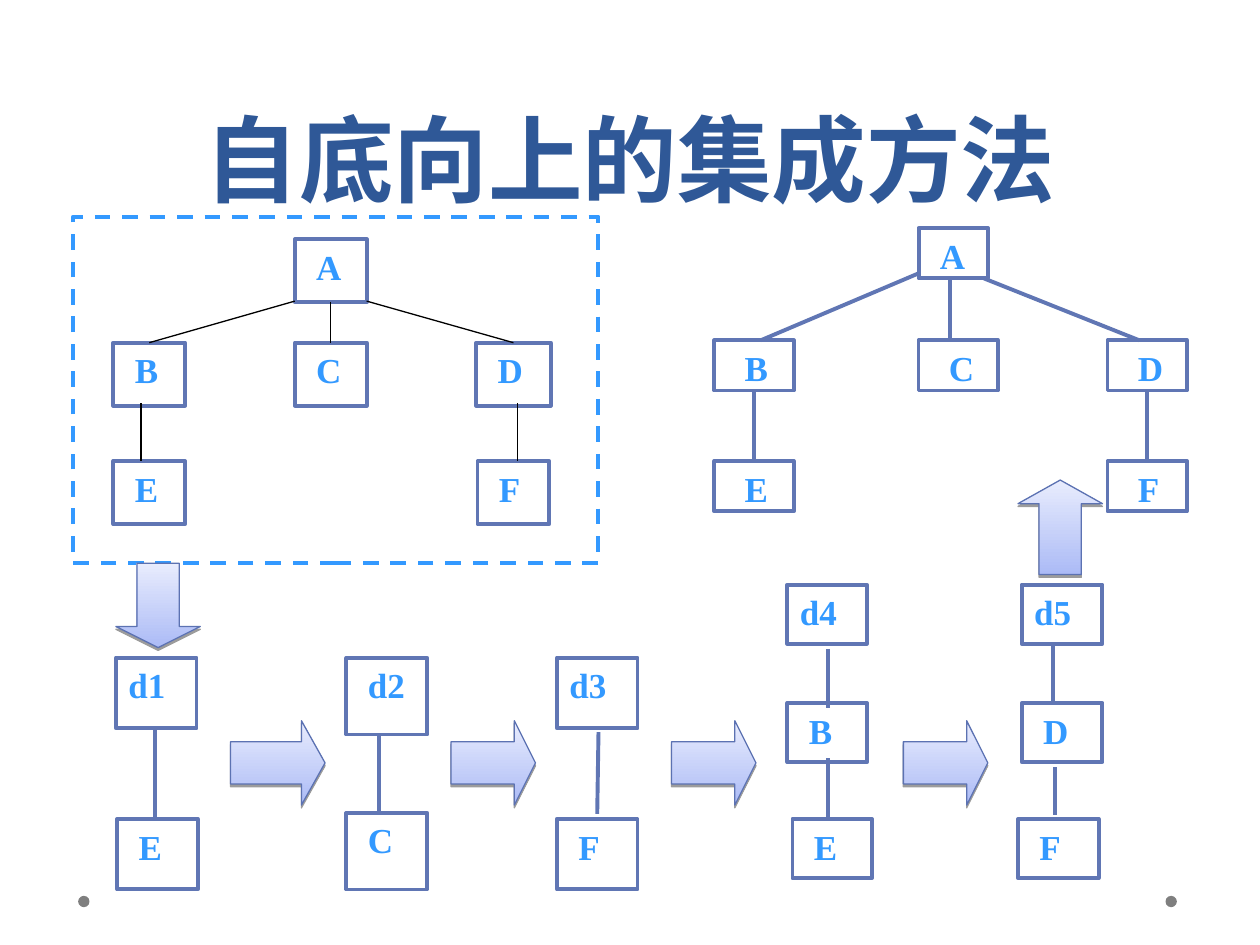
from dataclasses import dataclass

from lxml.etree import SubElement
from pptx import Presentation
from pptx.dml.color import RGBColor
from pptx.enum.dml import MSO_LINE_DASH_STYLE as Dash
from pptx.enum.shapes import MSO_CONNECTOR as Connector, MSO_SHAPE as Shape
from pptx.enum.text import MSO_ANCHOR as Anchor, PP_ALIGN as Align
from pptx.oxml.ns import qn
from pptx.shapes.shapetree import GroupShapes, SlideShapes
from pptx.util import Inches, Pt

TOP, BOTTOM = 0, 2  # connection sites of a rectangle


@dataclass(frozen=True)
class Theme:
    title: RGBColor = RGBColor(0x2F, 0x58, 0x97)
    label: RGBColor = RGBColor(0x33, 0x99, 0xFF)
    outline: RGBColor = RGBColor(0x60, 0x76, 0xB4)
    paper: RGBColor = RGBColor(0xFF, 0xFF, 0xFF)
    ink: RGBColor = RGBColor(0, 0, 0)
    dot: RGBColor = RGBColor(0x7F, 0x7F, 0x7F)
    arrow_dark: RGBColor = RGBColor(0xAC, 0xBB, 0xF6)
    arrow_light: RGBColor = RGBColor(0xE8, 0xEC, 0xFD)
    arrow_line: RGBColor = RGBColor(0x5C, 0x72, 0xB2)
    title_font: str = "Karla"
    label_font: str = "Times New Roman"
    title_size: Pt = Pt(54)
    title_spacing: Pt = Pt(58)
    label_size: Pt = Pt(20)
    thick: Pt = Pt(2.25)
    thin: Pt = Pt(0.75)


THEME = Theme()


@dataclass(frozen=True)
class Node:
    label: str
    left: float
    top: float
    indent: float = 0.07
    width: float = 0  # 0 means the usual width of the cluster


@dataclass(frozen=True)
class Link:
    start: tuple[float, float]
    end: tuple[float, float]
    start_node: str = ""  # joined at the bottom
    end_node: str = ""  # joined at the top


@dataclass(frozen=True)
class Cluster:
    width: float
    height: float
    nodes: list[Node]
    links: list[Link]
    link_color: RGBColor = THEME.outline
    link_width: Pt = THEME.thick
    framed: bool = False


@dataclass(frozen=True)
class Arrow:
    kind: Shape
    left: float
    top: float
    width: float = 0.67
    height: float = 0.67
    head: float = 0.25


# Content: the two trees, then the stages d1 to d5
CLUSTERS = [
    Cluster(0.57, 0.5,
            [Node("A", 2.34, 1.9), Node("B", 0.9, 2.72), Node("C", 2.34, 2.72),
             Node("D", 3.78, 2.72, width=0.59), Node("E", 0.9, 3.66), Node("F", 3.79, 3.66)],
            [Link((2.34, 2.39), (1.19, 2.72), end_node="B"),
             Link((2.91, 2.39), (4.06, 2.72), end_node="D"),
             Link((2.63, 2.39), (2.63, 2.72), "A", "C"),
             Link((1.12, 3.2), (1.12, 3.66)), Link((4.11, 3.2), (4.11, 3.66))],
            THEME.ink, THEME.thin, framed=True),
    Cluster(0.63, 0.4,
            [Node("A", 7.29, 1.81, width=0.55), Node("B", 5.67, 2.7, 0.14),
             Node("C", 7.29, 2.7, 0.14), Node("D", 8.79, 2.7, 0.14),
             Node("E", 5.67, 3.66, 0.14), Node("F", 8.79, 3.66, 0.14)],
            [Link((7.29, 2.17), (6.04, 2.7)), Link((7.81, 2.21), (9.04, 2.7)),
             Link((7.54, 2.22), (7.54, 2.7)),
             Link((5.98, 3.1), (5.98, 3.66), "B", "E"),
             Link((9.1, 3.1), (9.1, 3.66), "D", "F")]),
    Cluster(0.64, 0.56, [Node("d1", 0.92, 5.22, 0), Node("E", 0.93, 6.5)],
            [Link((1.23, 5.77), (1.23, 6.51))]),
    Cluster(0.64, 0.61, [Node("d2", 2.75, 5.22), Node("C", 2.75, 6.45)],
            [Link((3.01, 5.83), (3.01, 6.45))]),
    Cluster(0.64, 0.56, [Node("d3", 4.42, 5.22, 0), Node("F", 4.42, 6.5)],
            [Link((4.75, 5.81), (4.74, 6.46))]),
    Cluster(0.63, 0.47,
            [Node("d4", 6.25, 4.64, 0), Node("B", 6.25, 5.58), Node("E", 6.29, 6.5)],
            [Link((6.57, 5.15), (6.57, 5.62)), Link((6.57, 6.02), (6.57, 6.5))]),
    Cluster(0.64, 0.47,
            [Node("d5", 8.11, 4.64, 0), Node("D", 8.11, 5.58), Node("F", 8.08, 6.5)],
            [Link((8.36, 5.11), (8.36, 5.58)), Link((8.37, 6.09), (8.37, 6.47))]),
]
ARROWS = [
    Arrow(Shape.RIGHT_ARROW, 1.83, 5.72, width=0.75, head=0.28),
    *(Arrow(Shape.RIGHT_ARROW, left, 5.72) for left in (3.58, 5.33, 7.17)),
    Arrow(Shape.DOWN_ARROW, 0.92, 4.47),
    Arrow(Shape.UP_ARROW, 8.08, 3.81, height=0.75, head=0.28),
]


def add_shape(shapes: SlideShapes | GroupShapes, kind: Shape,
              left: float, top: float, width: float, height: float):
    shape = shapes.add_shape(kind, Inches(left), Inches(top), Inches(width), Inches(height))
    shape.shadow.inherit = False
    return shape


def draw_title(shapes: SlideShapes, text: str) -> None:
    frame = shapes.add_textbox(Inches(0.5), 0, Inches(9), Inches(1.75)).text_frame
    frame.word_wrap = True
    frame.vertical_anchor = Anchor.BOTTOM
    paragraph = frame.paragraphs[0]
    paragraph.text = text
    paragraph.alignment = Align.CENTER
    paragraph.line_spacing = THEME.title_spacing
    font = paragraph.font
    font.name, font.size, font.bold = THEME.title_font, THEME.title_size, True
    font.color.rgb = THEME.title


def draw_node(shapes: GroupShapes, node: Node, width: float, height: float):
    shape = add_shape(shapes, Shape.RECTANGLE, node.left, node.top, width, height)
    shape.fill.solid()
    shape.fill.fore_color.rgb = THEME.paper
    shape.line.color.rgb, shape.line.width = THEME.outline, THEME.thick
    frame = shape.text_frame
    frame.word_wrap = True
    frame.vertical_anchor = Anchor.TOP
    frame.margin_left = Inches(0.1 + node.indent)
    paragraph = frame.paragraphs[0]
    paragraph.text = node.label
    paragraph.alignment = Align.LEFT
    font = paragraph.font
    font.name, font.size, font.bold = THEME.label_font, THEME.label_size, True
    font.color.rgb = THEME.label
    return shape


def draw_cluster(shapes: SlideShapes, cluster: Cluster) -> None:
    members = shapes.add_group_shape().shapes
    boxes = {node.label: draw_node(members, node, node.width or cluster.width, cluster.height)
             for node in cluster.nodes}
    for link in cluster.links:
        ends = (Inches(value) for value in (*link.start, *link.end))
        connector = members.add_connector(Connector.STRAIGHT, *ends)
        connector.line.color.rgb = cluster.link_color
        connector.line.width = cluster.link_width
        SubElement(connector._element.spPr, qn("a:effectLst"))
        if link.start_node:
            connector.begin_connect(boxes[link.start_node], BOTTOM)
        if link.end_node:
            connector.end_connect(boxes[link.end_node], TOP)
    if cluster.framed:
        border = add_shape(members, Shape.RECTANGLE, 0.58, 1.72, 4.17, 2.75)
        border.fill.background()
        border.line.color.rgb, border.line.width = THEME.label, THEME.thick
        border.line.dash_style = Dash.DASH


def draw_arrow(shapes: SlideShapes, arrow: Arrow) -> None:
    shape = add_shape(shapes, arrow.kind, arrow.left, arrow.top, arrow.width, arrow.height)
    shape.adjustments[0], shape.adjustments[1] = 0.5, arrow.head
    shape.fill.gradient()
    shape.fill.gradient_angle = 90
    for stop, color in zip(shape.fill.gradient_stops, (THEME.arrow_dark, THEME.arrow_light)):
        stop.color.rgb = color
    shape.line.color.rgb, shape.line.width = THEME.arrow_line, THEME.thin
    # Short shadow straight below
    effects = shape._element.spPr.find(qn("a:effectLst"))
    shadow = SubElement(effects, qn("a:outerShdw"), blurRad="0", dist=str(Pt(1.6)),
                        dir="5400000", rotWithShape="0")
    color = SubElement(shadow, qn("a:srgbClr"), val=str(THEME.ink))
    SubElement(color, qn("a:alpha"), val="38000")


def main() -> None:
    presentation = Presentation()
    presentation.slide_width, presentation.slide_height = Inches(10), Inches(7.5)
    shapes = presentation.slides.add_slide(presentation.slide_layouts[6]).shapes

    # Footer dots
    for left in (9.25, 0.62):
        dot = add_shape(shapes, Shape.OVAL, left, 7.11, 0.09, 0.09)
        dot.fill.solid()
        dot.fill.fore_color.rgb = THEME.dot
        dot.line.fill.background()

    draw_title(shapes, "自底向上的集成方法")
    for cluster in CLUSTERS:
        draw_cluster(shapes, cluster)
    for arrow in ARROWS:
        draw_arrow(shapes, arrow)
    presentation.save("out.pptx")


if __name__ == "__main__":
    main()
